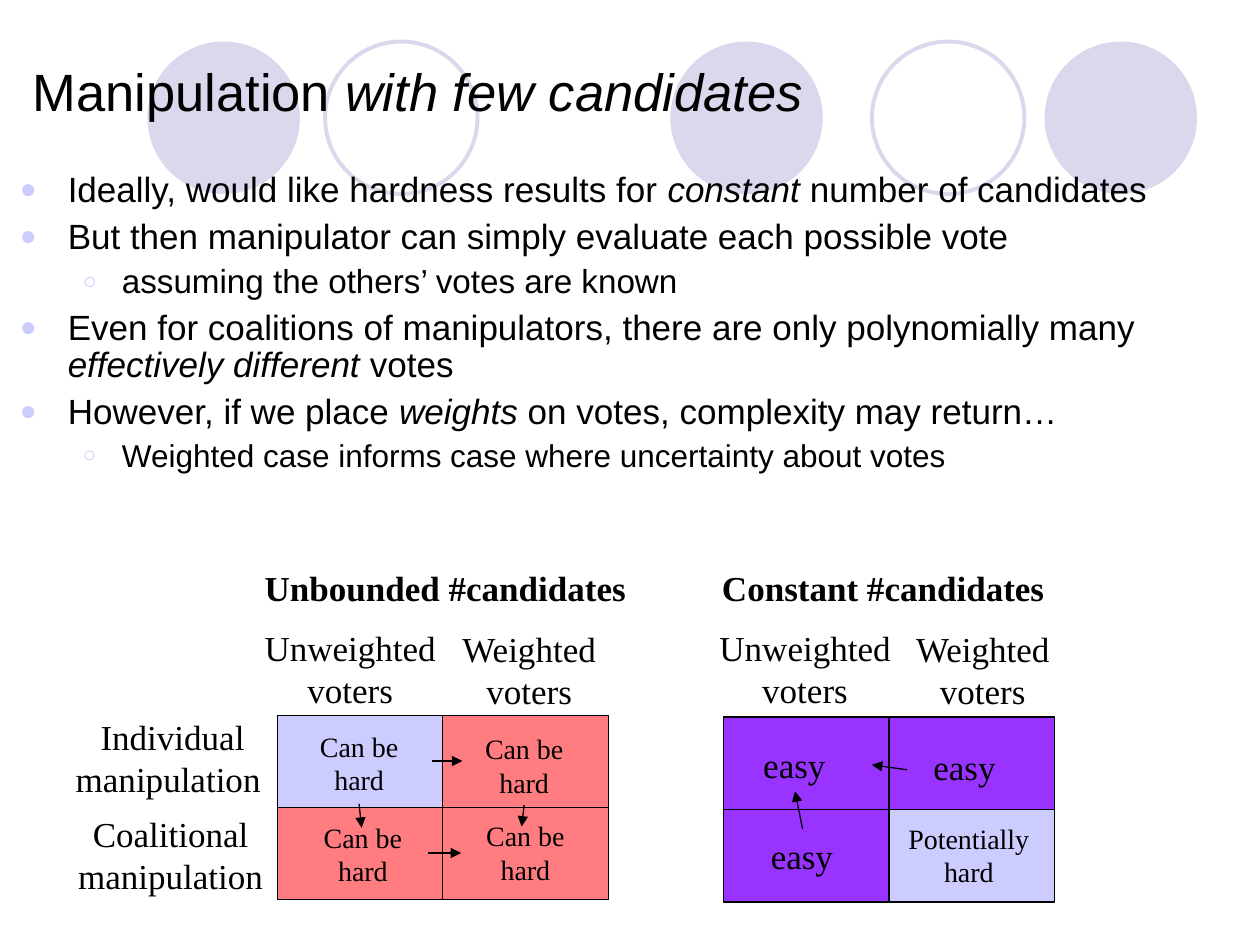
from dataclasses import dataclass

from lxml.etree import SubElement
from pptx import Presentation
from pptx.dml.color import RGBColor
from pptx.enum.shapes import MSO_CONNECTOR as Connector, MSO_SHAPE as Shape
from pptx.enum.text import MSO_ANCHOR as Anchor, MSO_AUTO_SIZE as AutoSize, PP_ALIGN as Align
from pptx.oxml.ns import qn
from pptx.util import Emu, Pt

PX = 9144


@dataclass(frozen=True)
class Theme:
    sans: str = "Arial"
    serif: str = "Times New Roman"
    ink: str = "000000"
    circle: str = "D9D8EC"
    lavender: str = "CCCCFF"
    red: str = "FF7C80"
    purple: str = "9933FF"
    title_size: int = 30
    text_size: int = 20
    cell_size: int = 16
    thin: float = 0.75
    ring: float = 2.25


THEME = Theme()


def px(*lengths):
    return [Emu(round(length * PX)) for length in lengths]


def rgb(value):
    return RGBColor.from_string(value)


def write_text(para, text, font=THEME.serif, size=THEME.text_size, bold=False, align=Align.CENTER):
    para.alignment = align
    for index, part in enumerate(text.split("*")):
        if part:
            span = para.add_run()
            span.text = part
            span.font.name = font
            span.font.size = Pt(size)
            span.font.bold = bold
            span.font.italic = index % 2 == 1
            span.font.color.rgb = rgb(THEME.ink)


def add_label(page, box, text, **style):
    frame = page.shapes.add_textbox(*px(*box)).text_frame
    frame.word_wrap = False
    frame.auto_size = AutoSize.SHAPE_TO_FIT_TEXT
    for index, line in enumerate(text.split("\n")):
        para = frame.add_paragraph() if index else frame.paragraphs[0]
        write_text(para, line, **style)


def add_shape(page, kind, box, fill=None, line=None, width=THEME.thin):
    shape = page.shapes.add_shape(kind, *px(*box))
    shape.shadow.inherit = False
    if fill:
        shape.fill.solid()
        shape.fill.fore_color.rgb = rgb(fill)
    else:
        shape.fill.background()
    if line:
        shape.line.color.rgb = rgb(line)
        shape.line.width = Pt(width)
    else:
        shape.line.fill.background()


def add_arrow(page, start, end):
    arrow = page.shapes.add_connector(Connector.STRAIGHT, *px(*start, *end))
    arrow.line.color.rgb = rgb(THEME.ink)
    arrow.line.width = Pt(THEME.thin)
    props = arrow.element.spPr
    SubElement(props.find(qn("a:ln")), qn("a:tailEnd"), type="triangle")
    SubElement(props, qn("a:effectLst"))


def add_bullet(para, char, scale, left, hanging):
    props = para._p.get_or_add_pPr()
    props.set("marL", str(left * PX))
    props.set("indent", str(-hanging * PX))
    color = SubElement(props, qn("a:buClr"))
    SubElement(color, qn("a:srgbClr"), val=THEME.lavender)
    SubElement(props, qn("a:buSzPct"), val=str(scale * 1000))
    SubElement(props, qn("a:buFont"), typeface=THEME.sans)
    SubElement(props, qn("a:buChar"), char=char)


def draw_circles(page, box):
    left, top, size = box
    for offset, filled in ((0, True), (141, False), (415, True), (575, False), (712, True)):
        color = THEME.circle
        style = {"fill": color} if filled else {"line": color, "width": THEME.ring}
        add_shape(page, Shape.OVAL, (left + offset, top, size, size), **style)


def draw_title(page, box, text):
    title = page.shapes.title
    title.left, title.top, title.width, title.height = px(*box)
    title.text_frame.vertical_anchor = Anchor.MIDDLE
    title.text_frame.auto_size = AutoSize.NONE
    write_text(title.text_frame.paragraphs[0], text, font=THEME.sans,
               size=THEME.title_size, align=Align.LEFT)
    title.element.getparent().append(title.element)


def draw_bullets(page, box, items):
    frame = page.shapes.add_textbox(*px(*box)).text_frame
    frame.word_wrap = True
    for index, (level, size, text) in enumerate(items):
        para = frame.add_paragraph() if index else frame.paragraphs[0]
        write_text(para, text, font=THEME.sans, size=size, align=Align.LEFT)
        para.level = level
        para.line_spacing = 0.9
        para.space_before = Pt(size / 4)
        add_bullet(para, *(("○", 70, 81, 31) if level else ("●", 80, 38, 38)))


def draw_matrix(page, box, fills, labels, arrows):
    left, top, width, height = box
    for index, fill in enumerate(fills):
        row, column = divmod(index, 2)
        cell = (left + column * width / 2, top + row * height / 2, width / 2, height / 2)
        add_shape(page, Shape.RECTANGLE, cell, fill=fill, line=THEME.ink)
    for (x, y, label_width, label_height), text, style in labels:
        add_label(page, (left + x, top + y, label_width, label_height), text, **style)
    for start, end in arrows:
        add_arrow(page, *((left + x, top + y) for x, y in (start, end)))


def main():
    deck = Presentation()
    deck.slide_width, deck.slide_height = px(1000, 750)
    page = deck.slides.add_slide(deck.slide_layouts[5])

    draw_circles(page, (117, 33, 121))
    draw_title(page, (16, 33, 940, 77), "Manipulation *with few candidates*")
    draw_bullets(page, (6, 132, 987, 288), [
        (0, 20, "Ideally, would like hardness results for *constant *number of candidates"),
        (0, 20, "But then manipulator can simply evaluate each possible vote"),
        (1, 19, "assuming the others’ votes are known"),
        (0, 20, "Even for coalitions of manipulators, there are only polynomially many "
                "*effectively different* votes"),
        (0, 20, "However, if we place *weights* on votes, complexity may return…"),
        (1, 18, "Weighted case informs case where uncertainty about votes"),
    ])

    plain, heading, small = {}, {"bold": True}, {"size": THEME.cell_size}
    unweighted, weighted = "Unweighted\nvoters", "Weighted\nvoters"
    hard = "Can be\nhard"
    draw_matrix(
        page, (220, 568, 263, 146),
        [THEME.lavender, THEME.red, THEME.red, THEME.red],
        [
            ((-20, -123, 307, 44), "Unbounded #candidates", heading),
            ((-20, -76, 156, 77), unweighted, plain),
            ((136, -75, 128, 77), weighted, plain),
            ((-170, -5, 174, 77), "Individual\nmanipulation ", plain),
            ((-168, 72, 167, 77), "Coalitional\nmanipulation", plain),
            ((24, 6, 82, 64), hard, small),
            ((155, 8, 82, 64), hard, small),
            ((27, 78, 82, 64), hard, small),
            ((156, 77, 82, 64), hard, small),
        ],
        [((123, 36), (147, 36)), ((120, 109), (146, 109)),
         ((65, 70), (67, 89)), ((196, 71), (194, 88))],
    )
    draw_matrix(
        page, (574, 569, 263, 147),
        [THEME.purple, THEME.purple, THEME.purple, THEME.lavender],
        [
            ((-11, -124, 276, 44), "Constant #candidates", heading),
            ((-13, -77, 156, 77), unweighted, plain),
            ((142, -76, 128, 77), weighted, plain),
            ((20, 16, 73, 44), "easy", plain),
            ((155, 18, 73, 44), "easy", plain),
            ((26, 88, 73, 44), "easy", plain),
            ((137, 78, 116, 64), "Potentially\nhard", small),
        ],
        [((63, 89), (57, 59)), ((146, 42), (118, 38))],
    )
    deck.save("out.pptx")


if __name__ == "__main__":
    main()
